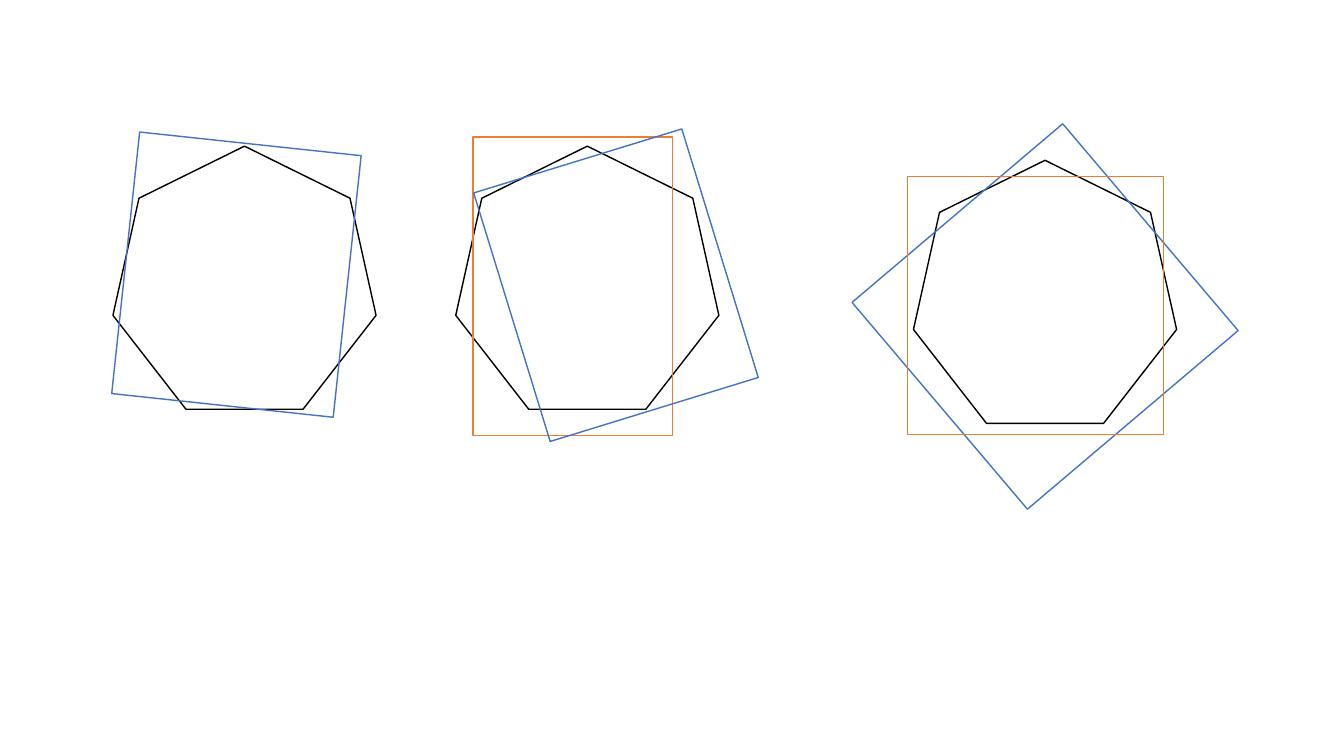
from pptx import Presentation
from pptx.dml.color import RGBColor
from pptx.enum.shapes import MSO_SHAPE
from pptx.util import Inches, Pt

HEPTAGON = MSO_SHAPE.HEPTAGON
RECTANGLE = MSO_SHAPE.RECTANGLE

BLACK = RGBColor(0x00, 0x00, 0x00)
BLUE = RGBColor(0x44, 0x72, 0xC4)
ORANGE = RGBColor(0xED, 0x7D, 0x31)

BLANK_LAYOUT = 6
HEPTAGON_SIZE = 2.61

# Each figure: heptagon left and top, then its rectangles from back to front as
# (color, x offset, y offset, width, height, rotation), offset from the heptagon
FIGURES = [
    (1.12, 1.45, [(BLUE, 0.12, -0.03, 2.21, 2.61, 6.1)]),
    (4.52, 1.45, [(ORANGE, 0.17, -0.09, 1.98, 2.96, 0),
                  (BLUE, 0.51, 0.09, 2.16, 2.58, 342.9)]),
    (9.06, 1.59, [(BLUE, -0.04, 0.18, 2.69, 2.74, 49.7),
                  (ORANGE, -0.06, 0.16, 2.54, 2.56, 0)]),
]


def add_outline(slide, kind, left, top, width, height, color, rotation=0):
    """Add an unfilled shape with a thin line."""
    shape = slide.shapes.add_shape(
        kind, Inches(left), Inches(top), Inches(width), Inches(height))
    shape.shadow.inherit = False
    shape.fill.background()
    shape.line.color.rgb = color
    shape.line.width = Pt(1)
    shape.rotation = rotation


def add_figure(slide, left, top, rectangles):
    """Add a heptagon and the rectangles laid over it."""
    add_outline(slide, HEPTAGON, left, top, HEPTAGON_SIZE, HEPTAGON_SIZE, BLACK)
    for color, x_offset, y_offset, width, height, rotation in rectangles:
        add_outline(slide, RECTANGLE, left + x_offset, top + y_offset,
                    width, height, color, rotation)


def main():
    presentation = Presentation()
    presentation.slide_width = Inches(13.33)
    presentation.slide_height = Inches(7.5)
    slide = presentation.slides.add_slide(presentation.slide_layouts[BLANK_LAYOUT])

    # Three heptagons, left to right
    for left, top, rectangles in FIGURES:
        add_figure(slide, left, top, rectangles)

    presentation.save("out.pptx")


if __name__ == "__main__":
    main()
